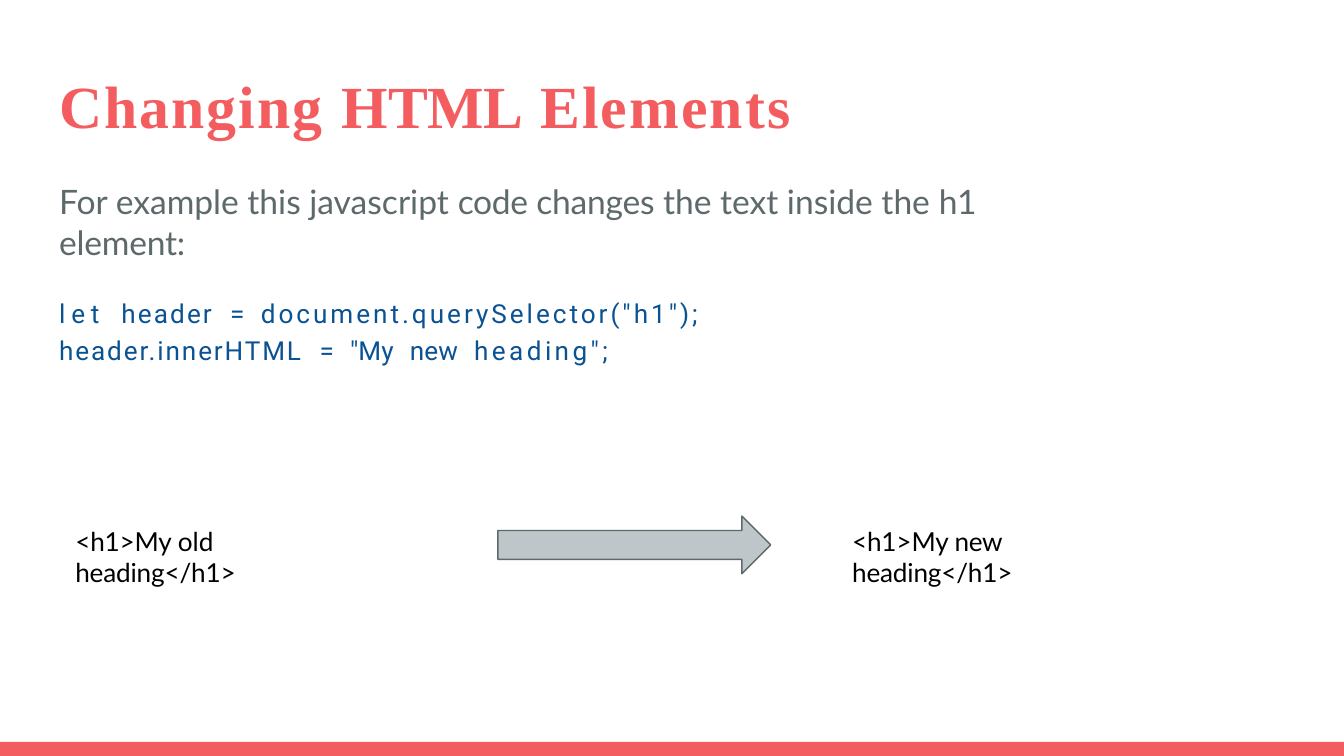
from pptx import Presentation
from pptx.dml.color import RGBColor
from pptx.enum.shapes import MSO_SHAPE as Preset
from pptx.util import Inches, Pt

CORAL, SLATE, NAVY = "F45D60", "5D696B", "0B5293"
SILVER, BLACK, WHITE = "BFC6CA", "000000", "FFFFFF"
WORD_GAP = (" ", 5.2)


def color(hex_value):
    return RGBColor.from_string(hex_value)


def add_frame(slide, left, top, width, height, right_inset=0):
    box = slide.shapes.add_textbox(Inches(left), Inches(top), Inches(width), Inches(height))
    frame = box.text_frame
    frame.word_wrap = True
    frame.margin_left = frame.margin_top = Inches(0.02)
    frame.margin_right = Inches(right_inset)
    frame.margin_bottom = 0
    return frame


def write(paragraph, pieces, font, size, hex_value, bold=False, before=1):
    paragraph.space_before = Pt(before)
    for text, spacing in pieces:
        run = paragraph.add_run()
        run.text = text
        run.font.name = font
        run.font.size = Pt(size)
        run.font.bold = bold
        run.font.color.rgb = color(hex_value)
        run._r.get_or_add_rPr().set("spc", str(round(spacing * 100)))


def add_block(slide, preset, left, top, width, height, fill, outline=None):
    block = slide.shapes.add_shape(
        preset, Inches(left), Inches(top), Inches(width), Inches(height))
    block.shadow.inherit = False
    block.fill.solid()
    block.fill.fore_color.rgb = color(fill)
    if outline:
        block.line.color.rgb = color(outline)
        block.line.width = Pt(0.75)
    else:
        block.line.fill.background()


def add_title(slide, left, top, width, height):
    frame = add_frame(slide, left, top, width, height)
    pieces = [("Changing ", 1.1), ("HTML", -0.2), (" Elements", 1.1)]
    write(frame.paragraphs[0], pieces, "Times New Roman", 32, CORAL, bold=True)


def add_explanation(slide, left, top, width, height):
    frame = add_frame(slide, left, top, width, height)
    intro = [
        ("For example this javascript ", 0), ("code ", -0.2), ("changes ", -0.1),
        ("the text inside the ", 0), ("h1 ", -0.2), ("element:", -0.1),
    ]
    write(frame.paragraphs[0], intro, "Lato", 18, SLATE)

    code_lines = [
        [("let", 3.1), ("header", 1.1), ("=", 0), ('document.querySelector("h1");', 1.6)],
        [("header.innerHTML", 1), ("=", 0), ('"My', 0), ("new", 0), ('heading";', 1.8)],
    ]
    code = frame.add_paragraph()
    code.line_spacing = 1.16
    for number, words in enumerate(code_lines):
        if number:
            code.add_line_break()
        pieces = [words[0]]
        for word in words[1:]:
            pieces += [WORD_GAP, word]
        write(code, pieces, "Roboto", 14, NAVY, before=16.4)


def add_heading_change(slide, left, top, width, height):
    headings = [("old ", 0, 0, 2.29), ("new ", -0.2, 5.78, 2.38)]
    for word, spacing, offset, text_width in headings:
        frame = add_frame(slide, left + offset, top + 0.05, text_width, 0.26, right_inset=0.2)
        pieces = [("<h1>My ", -0.1), (word, spacing), ("heading</h1>", -0.1)]
        write(frame.paragraphs[0], pieces, "Lato", 14, BLACK)
    arrow_width = 2.03
    arrow_left = left + (width - arrow_width) / 2 + 0.1
    add_block(slide, Preset.RIGHT_ARROW, arrow_left, top, arrow_width, height, SILVER, SLATE)


def main():
    deck = Presentation()
    deck.slide_width = Inches(10)
    deck.slide_height = deck.slide_width * 9 // 16
    slide = deck.slides.add_slide(deck.slide_layouts[6])
    slide.background.fill.solid()
    slide.background.fill.fore_color.rgb = color(WHITE)
    add_block(slide, Preset.RECTANGLE, 0, 5.52, 10, 0.11, CORAL)
    add_title(slide, 0.42, 0.49, 7.33, 0.56)
    add_explanation(slide, 0.42, 1.33, 7.81, 1.1)
    add_heading_change(slide, 0.54, 3.84, 8.16, 0.43)
    deck.save("out.pptx")


if __name__ == "__main__":
    main()
